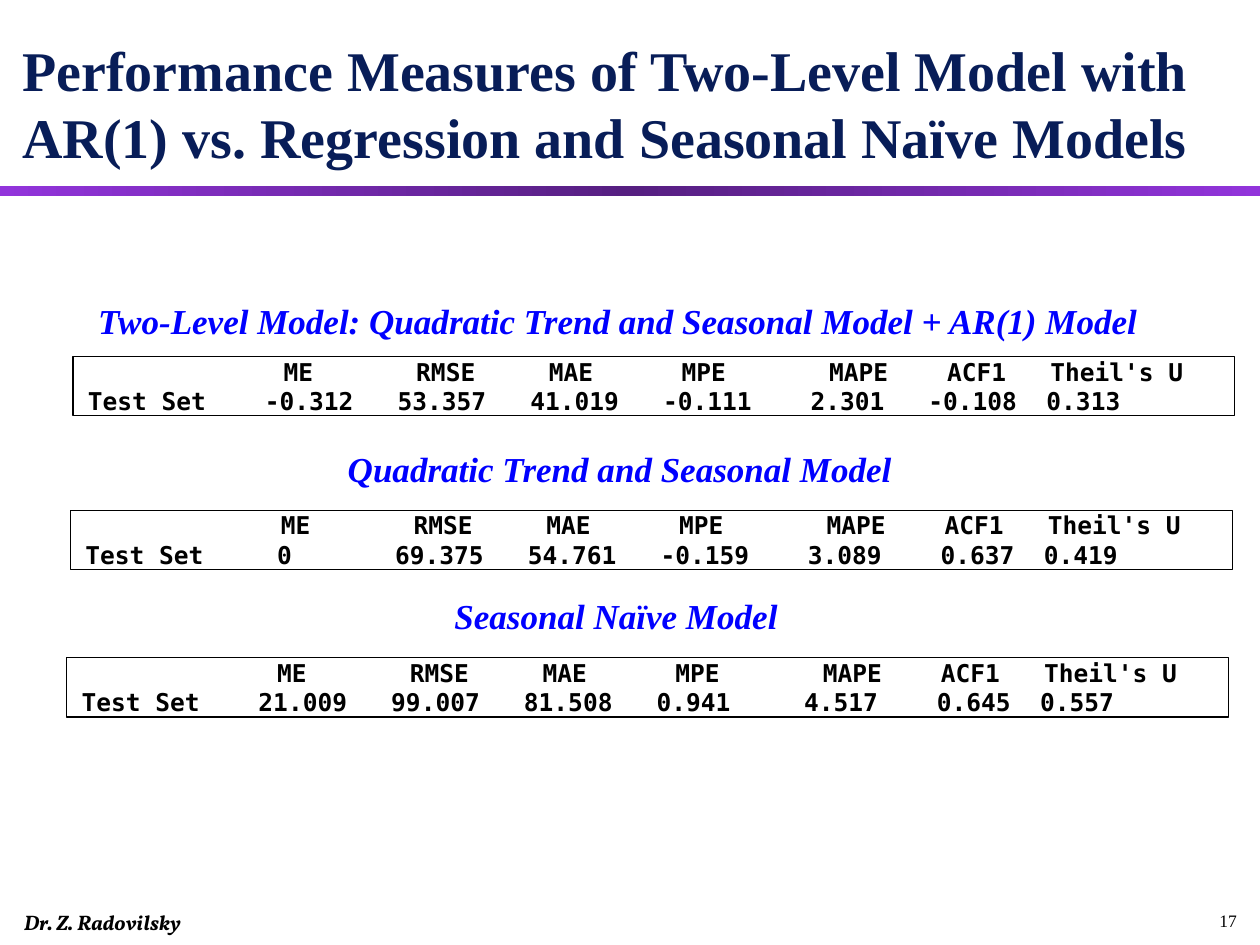
import pptx
import pptx.util
import pptx.dml.color
import pptx.enum.shapes
import pptx.enum.text
import pptx.oxml
from lxml import etree
from pptx.util import Inches

TITLE = "Performance Measures of Two-Level Model with AR(1) vs. Regression and Seasonal Naïve Models"
FOOTER = "Dr. Z. Radovilsky"
PAGE_NUMBER = "17"
MEASURES = ["ME", "RMSE", "MAE", "MPE", "MAPE", "ACF1", "Theil's U"]
ROW_LABEL = "Test Set"
MODELS = [
    {"heading": "Two-Level Model: Quadratic Trend and Seasonal Model + AR(1) Model ",
     "heading_at": (0.19, 2.33), "box_at": (0.58, 2.83), "first_column": 13,
     "values": ["-0.312", "53.357", "41.019", "-0.111", "2.301", "-0.108", "0.313"]},
    {"heading": "Quadratic Trend and Seasonal Model",
     "heading_at": (0.17, 3.5), "box_at": (0.56, 4.05), "first_column": 14,
     "values": ["0", "69.375", "54.761", "-0.159", "3.089", "0.637", "0.419"]},
    {"heading": "Seasonal Naïve Model",
     "heading_at": (0.14, 4.67), "box_at": (0.53, 5.22), "first_column": 13,
     "values": ["21.009", "99.007", "81.508", "0.941", "4.517", "0.645", "0.557"]},
]

SERIF, MONO = "Times New Roman", "DejaVu Sans Mono"
NAVY, BLUE, BLACK, WHITE = "081D58", "0000FF", "000000", "FFFFFF"
CHARACTER = 14 * 0.602 / 72
HEADER_START = 1.67
HEADER_COLUMNS = [0, 9, 18, 27, 37, 45, 52]
VALUE_COLUMNS = [22, 31, 40, 50, 64, 66]
VALUE_ALIGNMENTS = ["l"] * 6 + ["r", "l"]


def color(hex_string):
    return pptx.dml.color.RGBColor.from_string(hex_string)


def add_run(paragraph, text, size, font, hex_string, bold=True, italic=False):
    run = paragraph.add_run()
    run.text = text
    run.font.size = pptx.util.Pt(size)
    run.font.name = font
    run.font.bold = bold
    run.font.italic = italic
    run.font.color.rgb = color(hex_string)


def add_text(slide, at, text, size, font, hex_string, bold=True, italic=False,
             alignment="LEFT", anchor="TOP"):
    frame = slide.shapes.add_textbox(*map(Inches, at)).text_frame
    frame.word_wrap = True
    frame.vertical_anchor = pptx.enum.text.MSO_ANCHOR[anchor]
    paragraph = frame.paragraphs[0]
    paragraph.alignment = pptx.enum.text.PP_ALIGN[alignment]
    add_run(paragraph, text, size, font, hex_string, bold, italic)


def add_rectangle(slide, at):
    shape = slide.shapes.add_shape(pptx.enum.shapes.MSO_SHAPE.RECTANGLE, *map(Inches, at))
    shape.shadow.inherit = False
    return shape


def add_divider(slide):
    shape = add_rectangle(slide, (0, 1.48, 10, 0.08))
    shape.line.fill.background()
    shape.fill.gradient()
    shape.fill.gradient_angle = 0
    stops = shape.element.spPr.find(".//" + pptx.oxml.ns.qn("a:gsLst"))
    for stop in list(stops):
        stops.remove(stop)
    for position, hex_string in [(0, "9234DB"), (50, "561F81"), (100, "9234DB")]:
        stop = etree.SubElement(stops, pptx.oxml.ns.qn("a:gs"), pos=str(position * 1000))
        etree.SubElement(stop, pptx.oxml.ns.qn("a:srgbClr"), val=hex_string)


def set_tabs(paragraph, positions, alignments):
    properties = paragraph._p.get_or_add_pPr()
    tabs = etree.SubElement(properties, pptx.oxml.ns.qn("a:tabLst"))
    for position, alignment in zip(positions, alignments):
        etree.SubElement(tabs, pptx.oxml.ns.qn("a:tab"),
                         pos=str(int(Inches(position))), algn=alignment)


def add_measures(slide, model):
    shape = add_rectangle(slide, (*model["box_at"], 9.22, 0.47))
    shape.fill.solid()
    shape.fill.fore_color.rgb = color(WHITE)
    shape.line.color.rgb = color(BLACK)
    shape.line.width = pptx.util.Pt(0.75)
    frame = shape.text_frame
    frame.word_wrap = True
    frame.vertical_anchor = pptx.enum.text.MSO_ANCHOR.MIDDLE
    frame.margin_left = frame.margin_top = frame.margin_right = frame.margin_bottom = 0
    header_stops = [HEADER_START + column * CHARACTER for column in HEADER_COLUMNS]
    value_stops = [column * CHARACTER for column in [1, model["first_column"], *VALUE_COLUMNS]]
    rows = [
        (frame.paragraphs[0], MEASURES, header_stops, ["l"] * len(MEASURES)),
        (frame.add_paragraph(), [ROW_LABEL, *model["values"]], value_stops, VALUE_ALIGNMENTS),
    ]
    for paragraph, texts, stops, alignments in rows:
        paragraph.alignment = pptx.enum.text.PP_ALIGN.LEFT
        set_tabs(paragraph, stops, alignments)
        add_run(paragraph, "".join("\t" + text for text in texts), 14, MONO, BLACK)


def main():
    presentation = pptx.Presentation()
    presentation.slide_width = Inches(10)
    presentation.slide_height = Inches(7.5)
    slide = presentation.slides.add_slide(presentation.slide_layouts[6])
    add_divider(slide)
    add_text(slide, (0.09, 7.17, 2.08, 0.3), FOOTER, 12, "Vollkorn", BLACK, italic=True)
    add_text(slide, (9.58, 7.17, 0.42, 0.27), PAGE_NUMBER, 10, SERIF, BLACK, bold=False)
    add_text(slide, (0.08, 0.16, 9.72, 1.24), TITLE, 32, SERIF, NAVY, anchor="BOTTOM")
    for model in MODELS:
        add_text(slide, (*model["heading_at"], 9.5, 0.44), model["heading"], 20, SERIF, BLUE,
                 italic=True, alignment="CENTER")
        add_measures(slide, model)
    presentation.save("out.pptx")


if __name__ == "__main__":
    main()
